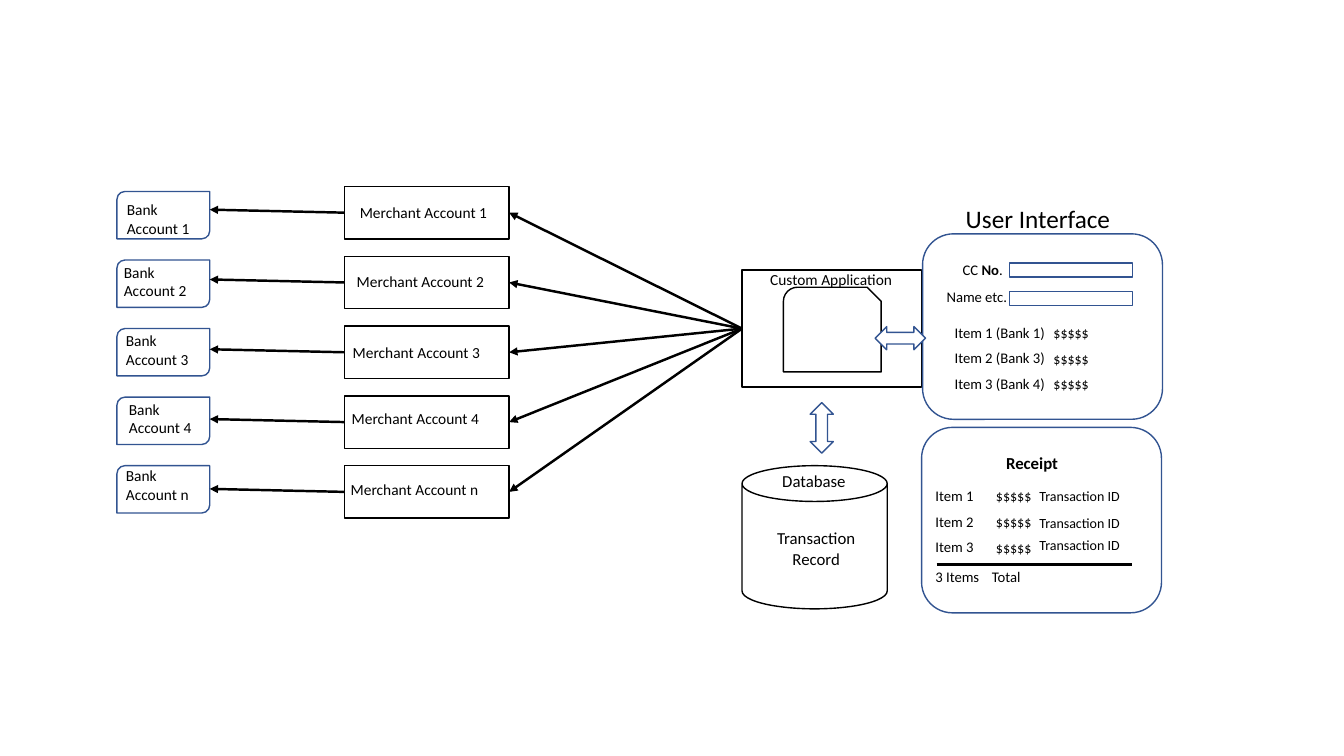
from lxml import etree
from pptx import Presentation
from pptx.dml.color import RGBColor
from pptx.enum.shapes import MSO_CONNECTOR, MSO_SHAPE
from pptx.enum.text import PP_ALIGN
from pptx.oxml.ns import qn
from pptx.util import Inches, Pt

BLACK = RGBColor(0x00, 0x00, 0x00)
WHITE = RGBColor(0xFF, 0xFF, 0xFF)
BLUE = RGBColor(0x32, 0x54, 0x91)
FONT = "Calibri"
STRAIGHT = MSO_CONNECTOR.STRAIGHT
RECT = MSO_SHAPE.RECTANGLE
ROUNDED = MSO_SHAPE.ROUNDED_RECTANGLE
DIAGONAL = MSO_SHAPE.ROUND_2_DIAG_RECTANGLE
SNIPPED = MSO_SHAPE.SNIP_ROUND_RECTANGLE
CAN = MSO_SHAPE.CAN
DOUBLE_ARROW = MSO_SHAPE.LEFT_RIGHT_ARROW
LEFT, CENTER = PP_ALIGN.LEFT, PP_ALIGN.CENTER
LEFT_SIDE, RIGHT_SIDE = 1, 3


def add_outline(s, kind, x, y, w, h, color, fill=None):
    sp = s.shapes.add_shape(kind, Inches(x), Inches(y), Inches(w), Inches(h))
    sp.shadow.inherit = False
    if fill is None:
        sp.fill.background()
    else:
        sp.fill.solid()
        sp.fill.fore_color.rgb = fill
    sp.line.color.rgb = color
    sp.line.width = Pt(1)
    return sp


def add_label(s, x, y, w, h, paragraphs, size, wrap=True, align=LEFT):
    tf = s.shapes.add_textbox(Inches(x), Inches(y), Inches(w), Inches(h)).text_frame
    tf.word_wrap = wrap
    for i, runs in enumerate(paragraphs):
        p = tf.add_paragraph() if i else tf.paragraphs[0]
        p.alignment = align
        for text, bold in runs:
            r = p.add_run()
            r.text = text
            r.font.name = FONT
            r.font.size = Pt(size)
            r.font.bold = bold
            r.font.color.rgb = BLACK


def add_text(s, x, y, w, h, text, size, wrap=True, bold=False):
    add_label(s, x, y, w, h, [[(text, bold)]], size, wrap)


def add_line(s, x1, y1, x2, y2, width, arrow=False):
    c = s.shapes.add_connector(STRAIGHT, Inches(x1), Inches(y1), Inches(x2), Inches(y2))
    c.line.color.rgb = BLACK
    c.line.width = Pt(width)
    if arrow:
        etree.SubElement(c.line._get_or_add_ln(), qn("a:tailEnd"), type="triangle")
    etree.SubElement(c._element.spPr, qn("a:effectLst"))
    return c


def add_accounts(s, x, y, w, h, application):
    names = ["1", "2", "3", "4", "n"]
    merchant_labels = [(2.31, 0.12), (2.28, 0.8), (2.24, 1.5), (2.23, 2.16), (2.22, 2.86)]
    bank_labels = [(0, 0.09), (-0.03, 0.71), (-0.01, 1.39), (0.02, 2.07), (-0.01, 2.73)]
    merchant_w, merchant_h = 1.63, 0.52
    bank_w, bank_h = 0.92, 0.47
    merchant_x = x + w - merchant_w
    merchant_pitch = (h - merchant_h) / (len(names) - 1)
    bank_pitch = 0.68
    for i, name in enumerate(names):
        merchant_y = y + i * merchant_pitch
        middle = merchant_y + merchant_h / 2
        merchant = add_outline(s, RECT, merchant_x, merchant_y, merchant_w, merchant_h, BLACK)
        add_outline(s, DIAGONAL, x, y + 0.05 + i * bank_pitch, bank_w, bank_h, BLUE)
        payment = add_line(s, x + 6.2, y + 1.41, x + w, middle, 1.75, True)
        payment.begin_connect(application, LEFT_SIDE)
        payment.end_connect(merchant, RIGHT_SIDE)
        deposit = add_line(s, merchant_x, middle, x + bank_w, middle - 0.03, 1.75, True)
        deposit.begin_connect(merchant, LEFT_SIDE)
        dx, dy = merchant_labels[i]
        add_text(s, x + dx, y + dy, 1.54, 0.29, f"Merchant Account {name}", 11)
        dx, dy = bank_labels[i]
        add_text(s, x + dx, y + dy, 0.83, 0.47, f"Bank Account {name}", 11)


def add_application(s, x, y, w, h):
    application = add_outline(s, RECT, x, y, w, h, BLACK)
    add_outline(s, SNIPPED, x + 0.41, y + 0.17, 0.97, 0.84, BLACK)
    add_text(s, x + 0.18, y - 0.05, 1.46, 0.29, "Custom Application", 11)
    return application


def add_user_interface(s, x, y, w, h):
    add_outline(s, ROUNDED, x, y, w, h, BLUE)
    add_outline(s, DOUBLE_ARROW, x - 0.47, y + 0.92, 0.5, 0.23, BLUE, WHITE)
    add_text(s, x + 0.33, y - 0.35, 1.71, 0.4, "User Interface", 18)
    for dy in (0.29, 0.57):
        add_outline(s, RECT, x + 0.86, y + dy, 1.22, 0.14, BLUE)
    add_label(s, x + 0.3, y + 0.22, 0.68, 0.28,
              [[("CC ", False), ("No", True), (".", False)]], 10.5)
    add_text(s, x + 0.14, y + 0.49, 0.81, 0.28, "Name etc.", 10.5)
    items = ["Item 1 (Bank 1)", "Item 2 (Bank 3)", "Item 3 (Bank 4)"]
    for i, item in enumerate(items):
        row_y = y + 0.84 + i * 0.255
        add_text(s, x + 0.22, row_y, 1.26, 0.28, item, 10.5)
        add_text(s, x + 1.2, row_y + 0.01, 0.56, 0.27, "$$$$$", 10, wrap=False)


def add_receipt(s, x, y, w, h):
    add_outline(s, ROUNDED, x, y, w, h, BLUE)
    add_text(s, x + 0.74, y + 0.2, 0.72, 0.3, "Receipt", 12, wrap=False, bold=True)
    for i, id_y in enumerate((0.55, 0.82, 1.03)):
        row_y = y + 0.54 + i * 0.255
        add_text(s, x + 0.04, row_y, 0.8, 0.28, f"Item {i + 1}", 10.5)
        add_text(s, x + 0.64, row_y + 0.01, 0.56, 0.27, "$$$$$", 10, wrap=False)
        add_text(s, x + 1.07, y + id_y, 1.02, 0.27, "Transaction ID", 10, wrap=False)
    add_line(s, x + 0.15, y + 1.36, x + 2.09, y + 1.36, 1.5)
    add_text(s, x + 0.04, y + 1.34, 0.7, 0.28, "3 Items", 10.5)
    add_text(s, x + 0.6, y + 1.34, 0.7, 0.28, "Total", 10.5)


def add_database(s, x, y, w, h):
    add_outline(s, CAN, x, y, w, h, BLACK)
    arrow = add_outline(s, DOUBLE_ARROW, x + 0.54, y - 0.49, 0.5, 0.23, BLUE, WHITE)
    arrow.rotation = 90
    add_text(s, x + 0.3, y, 0.84, 0.3, "Database", 12, wrap=False)
    add_label(s, x + 0.24, y + 0.57, 0.99, 0.5,
              [[("Transaction", False)], [("Record", False)]], 12, wrap=False, align=CENTER)


def main():
    prs = Presentation()
    prs.slide_width, prs.slide_height = Inches(13.33), Inches(7.5)
    s = prs.slides.add_slide(prs.slide_layouts[6])
    application = add_application(s, 7.36, 2.68, 1.78, 1.16)
    add_accounts(s, 1.16, 1.85, 3.89, 3.29, application)
    add_user_interface(s, 9.15, 2.32, 2.38, 1.84)
    add_receipt(s, 9.14, 4.24, 2.38, 1.84)
    add_database(s, 7.36, 4.62, 1.44, 1.42)
    prs.save("out.pptx")


if __name__ == "__main__":
    main()
